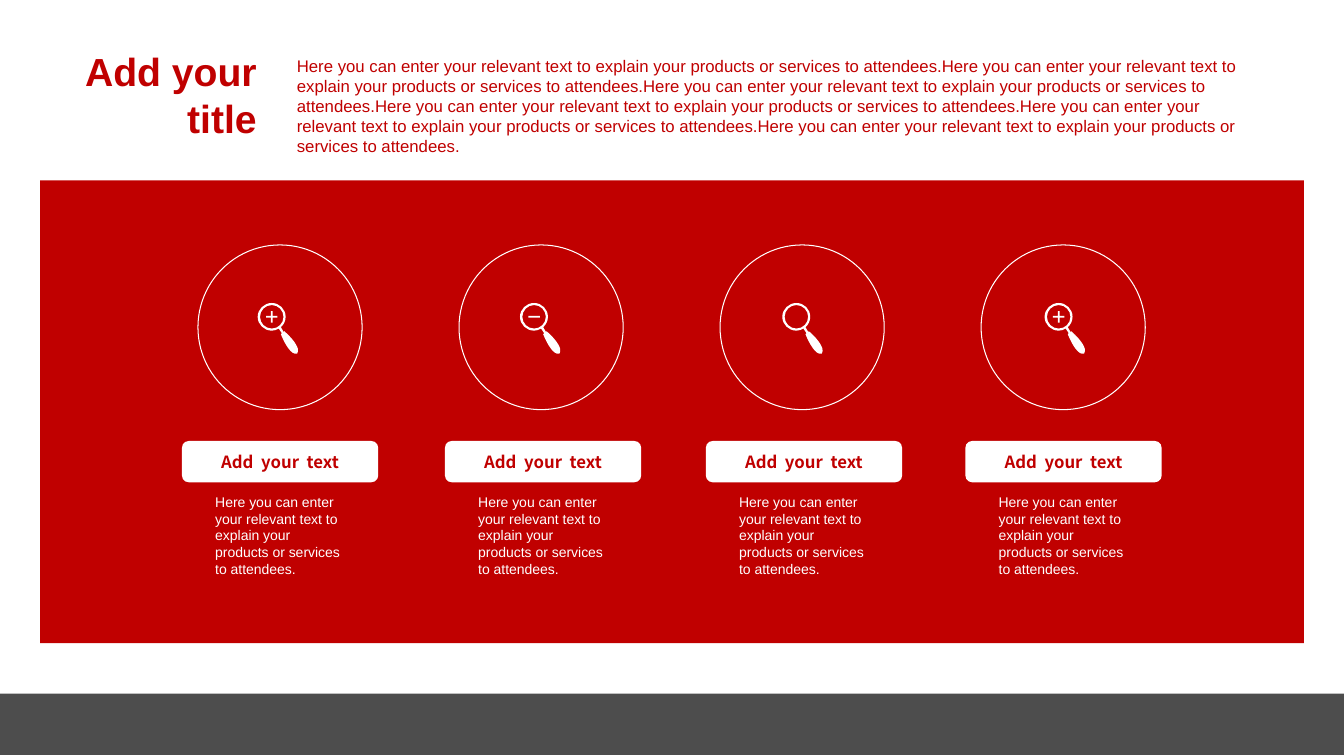
from lxml.etree import SubElement
from pptx import Presentation
from pptx.dml.color import RGBColor
from pptx.enum.shapes import MSO_SHAPE
from pptx.enum.text import MSO_ANCHOR, MSO_AUTO_SIZE, PP_ALIGN
from pptx.oxml.ns import qn
from pptx.util import Pt

# Content
TITLE = ["Add your", "title"]
BLURB = ("Here you can enter your relevant text to explain "
         "your products or services to attendees.")
LABEL = "Add  your  text"
# Sign inside each lens, left edge of its label
ITEMS = [("plus", 130.1), ("minus", 318.2), ("none", 504.8), ("plus", 690.4)]

# Style
RED = RGBColor(0xC0, 0x00, 0x00)
GREY = RGBColor(0x4D, 0x4D, 0x4D)
WHITE = RGBColor(0xFF, 0xFF, 0xFF)
SANS, CJK = "Arial", "Noto Sans CJK SC"
INSETS = (12.24, 6.48)

# Magnifier, from the icon's top left corner. Each loop is a start point,
# then steps of one point (a line) or three points (a curve).
ICON = (28.8, 36.7)
HUB = (10.1, 9.9)
RADIUS = 8.4
ARM, THICK = 4.1, 0.6
BODY = [
    [(10.1, 0)],
    [(15.6, 0), (20, 4.4), (20, 9.9)],
    [(20, 12.8), (18.7, 15.5), (16.6, 17.3)],
    [(18.7, 20.9)],
    [(19, 20.2)],
    [(27.4, 27.4), (29.5, 33.1), (28.8, 34.6)],
    [(28.8, 36), (28.1, 36.7), (26.6, 36.3)],
    [(22.3, 35.3), (18, 25.9), (16.6, 22.3)],
    [(17.3, 21.6)],
    [(15.1, 18.3)],
    [(13.6, 19.2), (11.9, 19.8), (10.1, 19.8)],
    [(4.6, 19.8), (0, 15.4), (0, 9.9)],
    [(0, 4.4), (4.6, 0), (10.1, 0)],
]


def hole():
    x, y = HUB
    r, k = RADIUS, 0.55 * RADIUS
    return [[(x, y - r)],
            [(x - k, y - r), (x - r, y - k), (x - r, y)],
            [(x - r, y + k), (x - k, y + r), (x, y + r)],
            [(x + k, y + r), (x + r, y + k), (x + r, y)],
            [(x + r, y - k), (x + k, y - r), (x, y - r)]]


def sign(kind):
    x, y = HUB
    a, w = ARM, THICK
    bar = [(-a, -w), (a, -w), (a, w), (-a, w)]
    plus = [(-w, -a), (w, -a), (w, -w), (a, -w), (a, w), (w, w),
            (w, a), (-w, a), (-w, w), (-a, w), (-a, -w), (-w, -w)]
    dots = {"plus": plus, "minus": bar, "none": []}[kind]
    return [[(x + dx, y + dy)] for dx, dy in dots]


def paint(shape, fill=None, line=None):
    shape.shadow.inherit = False
    if fill is None:
        shape.fill.background()
    else:
        shape.fill.solid()
        shape.fill.fore_color.rgb = fill
    if line is None:
        shape.line.fill.background()
    else:
        shape.line.color.rgb = line
        shape.line.width = Pt(0.75)


def add(slide, kind, box, fill=None, line=None):
    shape = slide.shapes.add_shape(kind, *map(Pt, box))
    paint(shape, fill, line)
    return shape


def write(shape, lines, size, color, font=SANS, bold=False, align=PP_ALIGN.LEFT,
          anchor=MSO_ANCHOR.TOP, insets=(7.2, 3.6)):
    frame = shape.text_frame
    frame.word_wrap = True
    frame.auto_size = MSO_AUTO_SIZE.NONE
    frame.vertical_anchor = anchor
    frame.margin_left = frame.margin_right = Pt(insets[0])
    frame.margin_top = frame.margin_bottom = Pt(insets[1])
    for i, line in enumerate(lines):
        para = frame.add_paragraph() if i else frame.paragraphs[0]
        para.alignment = align
        run = para.add_run()
        run.text = line
        run.font.size = Pt(size)
        run.font.name = font
        run.font.bold = bold
        run.font.color.rgb = color


def magnify(slide, left, top, kind):
    # The frame fixes the size, then curves replace its straight sides
    wide, high = map(Pt, ICON)
    frame = slide.shapes.build_freeform(0, 0)
    frame.add_line_segments([(wide, 0), (wide, high), (0, high)])
    shape = frame.convert_to_shape(Pt(left), Pt(top))
    paint(shape, WHITE)
    route = next(shape.element.iter(qn("a:path")))
    for child in list(route):
        route.remove(child)
    for loop in filter(None, (sign(kind), hole(), BODY)):
        for i, dots in enumerate(loop):
            tag = "a:cubicBezTo" if len(dots) == 3 else "a:lnTo"
            step = SubElement(route, qn(tag if i else "a:moveTo"))
            for x, y in dots:
                SubElement(step, qn("a:pt"), x=str(int(Pt(x))), y=str(int(Pt(y))))
        SubElement(route, qn("a:close"))


def main():
    deck = Presentation()
    deck.slide_width, deck.slide_height = Pt(961.2), Pt(540)
    slide = deck.slides.add_slide(deck.slide_layouts[5])

    # Footer band and red panel
    add(slide, MSO_SHAPE.RECTANGLE, (-2.2, 496.1, 966.2, 46.1), GREY)
    add(slide, MSO_SHAPE.RECTANGLE, (28.7, 129, 903.8, 331), RED)

    # Title and introduction
    title = slide.shapes.title
    title.left, title.top, title.width, title.height = map(Pt, (28.8, 30.2, 162, 75))
    write(title, TITLE, 28, RED, bold=True, align=PP_ALIGN.RIGHT)
    intro = slide.shapes.add_textbox(*map(Pt, (205.2, 36, 697.7, 80)))
    write(intro, [BLURB * 6], 12, RED)

    # Four columns: ring, magnifier, label, text
    for i, (kind, left) in enumerate(ITEMS):
        add(slide, MSO_SHAPE.OVAL, (141.6 + 186.7 * i, 175.2, 117.4, 117.8), line=WHITE)
        magnify(slide, 184.3 + 187.6 * i, 216.7, kind)
        pill = add(slide, MSO_SHAPE.ROUNDED_RECTANGLE, (left, 315.4, 140.4, 29.6), WHITE)
        write(pill, [LABEL], 12, RED, CJK, True, PP_ALIGN.CENTER,
              MSO_ANCHOR.MIDDLE, INSETS)
        note = slide.shapes.add_textbox(*map(Pt, (left + 11.6, 346.3, 117.4, 72.7)))
        write(note, [BLURB], 10, WHITE, insets=INSETS)

    deck.save("out.pptx")


if __name__ == "__main__":
    main()
